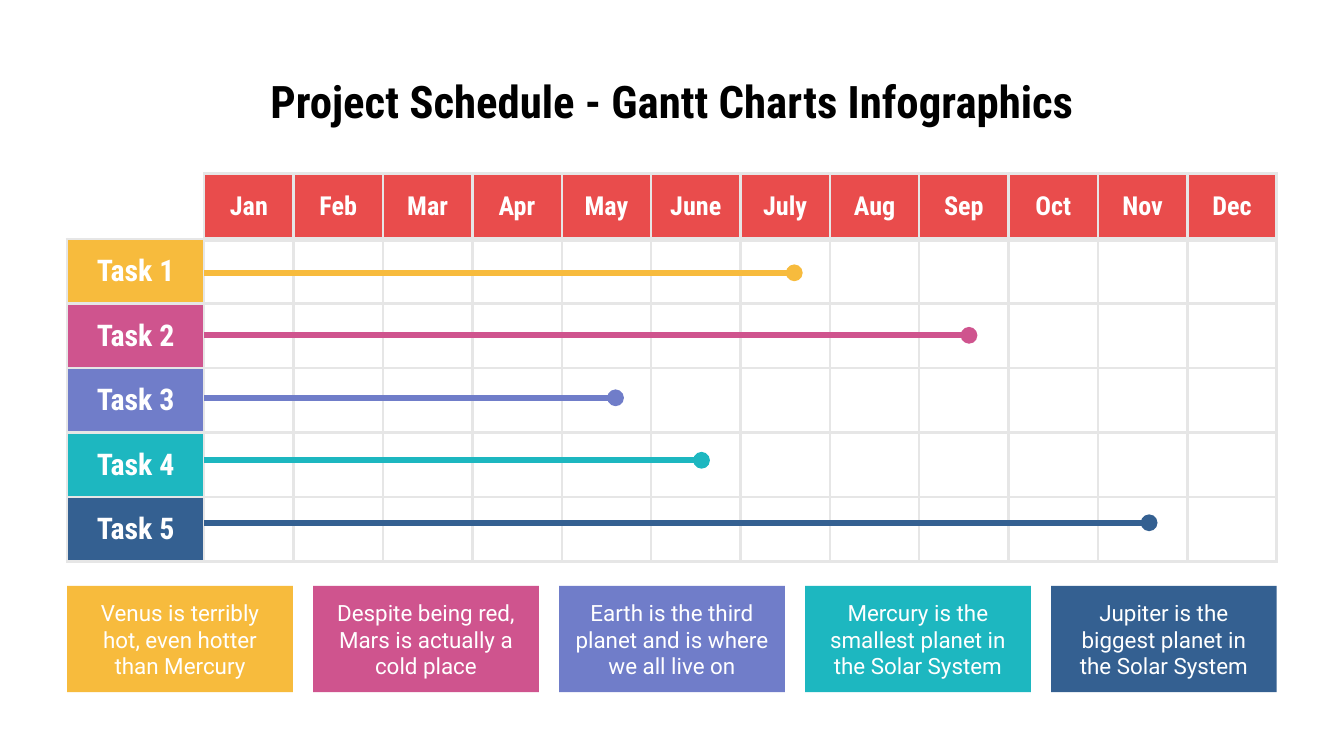
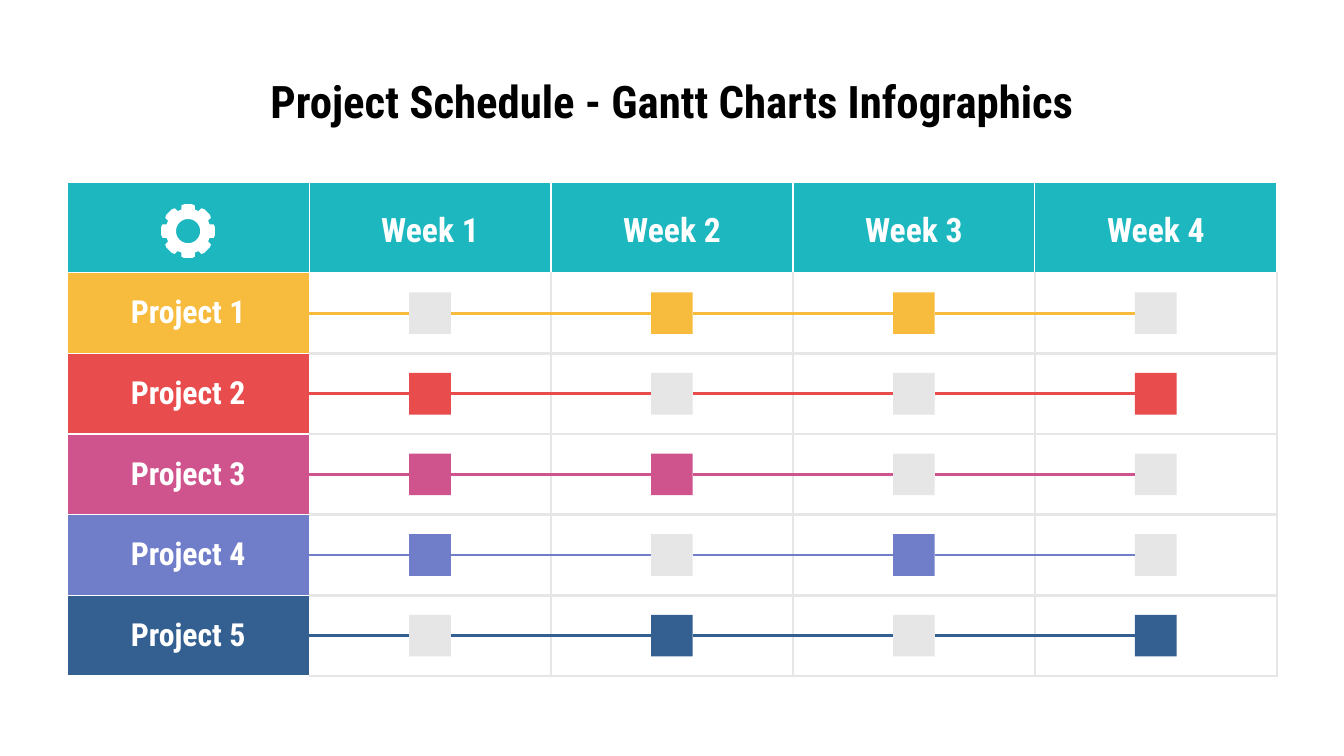
"""Build two Gantt chart slides with a shared theme."""
import math
from dataclasses import dataclass

from lxml import etree
from pptx import Presentation
from pptx import util as u
from pptx.dml.color import RGBColor
from pptx.enum import shapes, text
from pptx.oxml.ns import qn


@dataclass(frozen=True)
class Theme:
    """Colours, fonts and type sizes of the deck."""

    yellow: str = "F7BB3D"
    red: str = "E94C4C"
    pink: str = "CF548E"
    violet: str = "707DC9"
    teal: str = "1DB7C0"
    navy: str = "346091"
    grey: str = "E6E6E6"
    white: str = "FFFFFF"
    black: str = "000000"
    heading: str = "Roboto Condensed"
    body: str = "Roboto"
    title_size: float = 24
    week_size: float = 18
    project_size: float = 17
    task_size: float = 16
    month_size: float = 14
    note_size: float = 12


THEME = Theme()
TITLE = "Project Schedule - Gantt Charts Infographics"
LEFT, RIGHT = 0.5, 9.5
GRID = (THEME.grey, 1.5)
HAIRLINE = (THEME.white, 0.75)

MONTHS = ("Jan", "Feb", "Mar", "Apr", "May", "June",
          "July", "Aug", "Sep", "Oct", "Nov", "Dec")
TASKS = (
    (THEME.yellow, 5.91, "Venus is terribly hot, even hotter than Mercury"),
    (THEME.pink, 7.21, "Despite being red, Mars is actually a cold place"),
    (THEME.violet, 4.58, "Earth is the third planet and is where we all live on"),
    (THEME.teal, 5.22, "Mercury is the smallest planet in the Solar System"),
    (THEME.navy, 8.55, "Jupiter is the biggest planet in the Solar System"),
)
PROJECTS = (
    (THEME.yellow, {2, 3}),
    (THEME.red, {1, 4}),
    (THEME.pink, {1, 2}),
    (THEME.violet, {1, 3}),
    (THEME.navy, {2, 4}),
)


def rgb(colour):
    """Turn a hex string into a colour."""
    return RGBColor.from_string(colour)


def write(frame, words, *, size, font=THEME.heading, colour=THEME.white,
          bold=True, spacing=None, anchor=text.MSO_ANCHOR.MIDDLE, host=None):
    """Put one centred paragraph in a frame, with insets set on its host."""
    host = host or frame
    host.margin_left = host.margin_right = u.Inches(0.1)
    host.margin_top = host.margin_bottom = u.Inches(0.1)
    host.vertical_anchor = anchor
    frame.word_wrap = True
    paragraph = frame.paragraphs[0]
    paragraph.alignment = text.PP_ALIGN.CENTER
    if spacing:
        paragraph.line_spacing = spacing
    run = paragraph.add_run()
    run.text = words
    run.font.name = font
    run.font.size = u.Pt(size)
    run.font.bold = bold
    run.font.color.rgb = rgb(colour)


def add_titled_slide(deck):
    """Add a title-only slide with the shared heading."""
    slide = deck.slides.add_slide(deck.slide_layouts[5])
    title = slide.shapes.title
    title.left, title.top = u.Inches(LEFT), u.Inches(0.45)
    title.width, title.height = u.Inches(RIGHT - LEFT), u.Inches(0.63)
    title.text_frame.auto_size = text.MSO_AUTO_SIZE.NONE
    write(title.text_frame, TITLE, size=THEME.title_size, colour=THEME.black,
          anchor=text.MSO_ANCHOR.TOP)
    return slide


def paint(shape, colour):
    """Give a shape a flat fill with no line and no shadow."""
    shape.shadow.inherit = False
    shape.fill.solid()
    shape.fill.fore_color.rgb = rgb(colour)
    shape.line.fill.background()


def add_block(slide, left, top, width, height, colour):
    """Add a flat rectangle."""
    block = slide.shapes.add_shape(
        shapes.MSO_SHAPE.RECTANGLE, u.Inches(left), u.Inches(top),
        u.Inches(width), u.Inches(height))
    paint(block, colour)
    return block


def add_bar(slide, start, end, y, colour, weight, dot=False):
    """Add a horizontal line, with a round end if dot is set."""
    bar = slide.shapes.add_connector(
        shapes.MSO_CONNECTOR.STRAIGHT, u.Inches(start), u.Inches(y),
        u.Inches(end), u.Inches(y))
    bar.line.color.rgb = rgb(colour)
    bar.line.width = u.Pt(weight)
    if dot:
        line = bar._element.spPr.find(qn("a:ln"))
        etree.SubElement(line, qn("a:tailEnd"), type="oval")
    etree.SubElement(bar._element.spPr, qn("a:effectLst"))
    return bar


def add_grid(slide, top, widths, heights):
    """Add an unstyled table of the given column widths and row heights."""
    table = slide.shapes.add_table(
        len(heights), len(widths), u.Inches(LEFT), u.Inches(top),
        u.Inches(sum(widths)), u.Inches(sum(heights))).table
    table.first_row = table.horz_banding = False
    for column, width in zip(table.columns, widths):
        column.width = u.Inches(width)
    for row, height in zip(table.rows, heights):
        row.height = u.Inches(height)
    return table


def style_cell(cell, fill=None, edge=GRID, **sides):
    """Fill a cell and draw its borders; L, R, T and B override the edge."""
    if fill:
        cell.fill.solid()
        cell.fill.fore_color.rgb = rgb(fill)
    else:
        cell.fill.background()
    properties = cell._tc.get_or_add_tcPr()
    for place, side in enumerate("LRTB"):
        colour, weight = sides.get(side, edge)
        border = etree.Element(qn(f"a:ln{side}"), w=str(u.Pt(weight)))
        solid = etree.SubElement(border, qn("a:solidFill"))
        etree.SubElement(solid, qn("a:srgbClr"), val=colour)
        properties.insert(place, border)


def label_cell(cell, words, **style):
    """Write a label in a table cell."""
    write(cell.text_frame, words, host=cell, **style)


def around(x, y, out, side, turn):
    """Return the slide point at a radial and sideways offset, turned about x, y."""
    return (u.Inches(x + out * math.cos(turn) - side * math.sin(turn)),
            u.Inches(y + out * math.sin(turn) + side * math.cos(turn)))


def add_gear(slide, x, y):
    """Add a white eight-toothed gear with a round hole, centred on x, y."""
    tooth = ((0.16, -0.05), (0.19, -0.05), (0.2, -0.03),
             (0.2, 0.03), (0.19, 0.05), (0.16, 0.05))
    rim = [around(x, y, out, side, step * math.tau / 8)
           for step in range(8) for out, side in tooth]
    hole = [around(x, y, 0.09, 0, -step * math.tau / 36) for step in range(36)]
    outline = slide.shapes.build_freeform(*rim[0])
    outline.add_line_segments(rim[1:], close=True)
    outline.move_to(*hole[0])
    outline.add_line_segments(hole[1:], close=True)
    paint(outline.convert_to_shape(), THEME.white)


def build_year(deck):
    """Build the twelve-month schedule with its five notes."""
    slide = add_titled_slide(deck)
    label_width = 1.02
    start = LEFT + label_width
    month_width = (RIGHT - start) / len(MONTHS)
    table = add_grid(slide, 1.29, [label_width] + [month_width] * len(MONTHS),
                     [0.49] + [0.48] * len(TASKS))
    heavy = (THEME.grey, 3)
    blank = (THEME.white, 1.5)
    style_cell(table.cell(0, 0), L=blank, T=blank)
    for column, month in enumerate(MONTHS, 1):
        header = table.cell(0, column)
        style_cell(header, THEME.red, B=heavy)
        label_cell(header, month, size=THEME.month_size)

    first_bar, last_bar = 2.03, 3.89
    bar_pitch = (last_bar - first_bar) / (len(TASKS) - 1)
    note_width = 1.68
    note_pitch = (RIGHT - LEFT - note_width) / (len(TASKS) - 1)
    for index, (colour, end, fact) in enumerate(TASKS):
        row = index + 1
        task = table.cell(row, 0)
        style_cell(task, colour)
        label_cell(task, f"Task {row}", size=THEME.task_size)
        for column in range(1, len(MONTHS) + 1):
            style_cell(table.cell(row, column), T=heavy if row == 1 else GRID)
        add_bar(slide, start, end, first_bar + index * bar_pitch, colour, 3, dot=True)
        note = add_block(slide, LEFT + index * note_pitch, 4.36, note_width, 0.79, colour)
        write(note.text_frame, fact, size=THEME.note_size, font=THEME.body, bold=False)


def add_track(slide, y, colour, active, start, week_width):
    """Add a chain of four week markers, coloured where active."""
    side = 0.31
    previous = None
    for week in range(1, 5):
        left = start + (week - 0.5) * week_width - side / 2
        marker = add_block(slide, left, y - side / 2, side, side,
                           colour if week in active else THEME.grey)
        link = add_bar(slide, start, left, y, colour, 1.5)
        if previous:
            link.begin_connect(previous, 3)
        link.end_connect(marker, 1)
        previous = marker


def build_month(deck):
    """Build the four-week schedule of five projects."""
    slide = add_titled_slide(deck)
    top, width, header_height, row_height = 1.36, 1.8, 0.67, 0.6
    table = add_grid(slide, top, [width] * 5,
                     [header_height] + [row_height] * len(PROJECTS))
    for week in range(5):
        header = table.cell(0, week)
        style_cell(header, THEME.teal, edge=HAIRLINE)
        if week:
            label_cell(header, f"Week {week}", size=THEME.week_size, spacing=1.15)
    for row, (colour, active) in enumerate(PROJECTS, 1):
        project = table.cell(row, 0)
        style_cell(project, colour, edge=HAIRLINE)
        label_cell(project, f"Project {row}", size=THEME.project_size)
        for week in range(1, 5):
            style_cell(table.cell(row, week), THEME.white,
                       L=HAIRLINE if week == 1 else GRID,
                       T=HAIRLINE if row == 1 else GRID)
        add_track(slide, top + header_height + (row - 0.5) * row_height,
                  colour, active, LEFT + width, width)
    add_gear(slide, 1.4, 1.72)


def main():
    """Build and save the deck."""
    deck = Presentation()
    deck.slide_width = u.Inches(10)
    deck.slide_height = deck.slide_width * 9 // 16
    build_year(deck)
    build_month(deck)
    deck.save("out.pptx")


if __name__ == "__main__":
    main()
